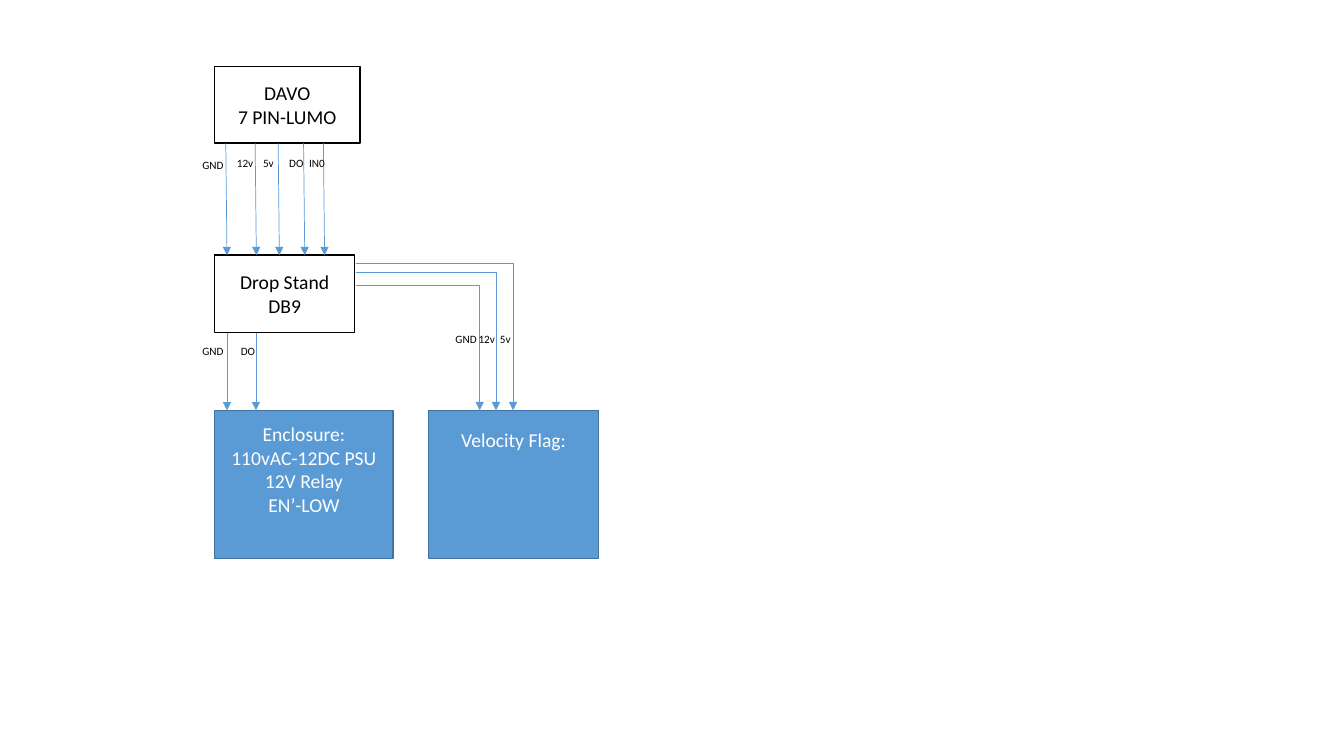
from lxml import etree
from pptx import Presentation
from pptx import util as u
from pptx.dml.color import RGBColor
from pptx.enum import shapes, text
from pptx.oxml.ns import qn

WHITE, BLACK, BLUE, DARK_BLUE = "FFFFFF", "000000", "5B9BD5", "43739E"


def colour(value):
    return RGBColor.from_string(value)


class WiringDiagram:
    font = "Calibri"
    box_size = u.Pt(14)
    label_size = u.Pt(8)
    wire_width = u.Pt(0.5)

    def __init__(self, slide):
        self.slide = slide

    def set_text(self, frame, lines, size, ink, alignment):
        frame.text = "\n".join(lines)
        for paragraph in frame.paragraphs:
            paragraph.alignment = alignment
            paragraph.font.name = self.font
            paragraph.font.size = size
            paragraph.font.color.rgb = colour(ink)

    def box(self, left, top, width, height, lines, fill, border, ink, top_inset=None):
        shape = self.slide.shapes.add_shape(
            shapes.MSO_SHAPE.RECTANGLE, u.Cm(left), u.Cm(top), u.Cm(width), u.Cm(height))
        shape.shadow.inherit = False
        shape.fill.solid()
        shape.fill.fore_color.rgb = colour(fill)
        shape.line.color.rgb = colour(border)
        shape.line.width = u.Pt(1)
        frame = shape.text_frame
        frame.word_wrap = True
        frame.vertical_anchor = text.MSO_ANCHOR.MIDDLE
        if top_inset is not None:
            frame.vertical_anchor = text.MSO_ANCHOR.TOP
            frame.margin_top = u.Cm(top_inset)
        self.set_text(frame, lines, self.box_size, ink, text.PP_ALIGN.CENTER)

    def wire(self, start_x, start_y, end_x, end_y, bent=False):
        kind = shapes.MSO_CONNECTOR.ELBOW if bent else shapes.MSO_CONNECTOR.STRAIGHT
        connector = self.slide.shapes.add_connector(
            kind, u.Cm(start_x), u.Cm(start_y), u.Cm(end_x), u.Cm(end_y))
        connector.line.color.rgb = colour(BLUE)
        connector.line.width = self.wire_width
        properties = connector._element.spPr
        if bent:
            properties.find(qn("a:prstGeom")).set("prst", "bentConnector2")
        etree.SubElement(properties.find(qn("a:ln")), qn("a:tailEnd"), type="triangle")
        etree.SubElement(properties, qn("a:effectLst"))

    def label(self, left, top, wording):
        shape = self.slide.shapes.add_textbox(u.Cm(left), u.Cm(top), u.Cm(1.12), u.Cm(0.6))
        shape.text_frame.word_wrap = True
        self.set_text(shape.text_frame, [wording], self.label_size, BLACK, text.PP_ALIGN.LEFT)


def main():
    presentation = Presentation()
    presentation.slide_width = u.Cm(33.87)
    presentation.slide_height = u.Cm(19.05)
    diagram = WiringDiagram(presentation.slides.add_slide(presentation.slide_layouts[6]))

    left = 5.41
    lemo_bottom, stand_top, stand_bottom, unit_top = 3.61, 6.43, 8.38, 10.34
    unit_height = 3.73

    diagram.box(left, 1.68, 3.66, lemo_bottom - 1.68, ["DAVO", "7 PIN-LUMO"],
                WHITE, BLACK, BLACK)
    diagram.box(left, stand_top, 3.53, stand_bottom - stand_top, ["Drop Stand", "DB9"],
                WHITE, BLACK, BLACK)
    diagram.box(left, unit_top, 4.5, unit_height,
                ["Enclosure:", "110vAC-12DC PSU", "12V Relay", "EN’-LOW"],
                BLUE, DARK_BLUE, WHITE, top_inset=0.3)
    diagram.box(10.8, unit_top, 4.29, unit_height, ["Velocity Flag:"],
                BLUE, DARK_BLUE, WHITE, top_inset=0.45)

    for x in (5.69, 6.43, 7.01, 7.65, 8.15):
        diagram.wire(x, lemo_bottom, x + 0.03, stand_top)
    for x in (5.72, 6.45):
        diagram.wire(x, stand_bottom, x, unit_top)
    for x, y in ((12.93, 6.63), (12.5, 6.86), (12.09, 7.19)):
        diagram.wire(8.97, y, x, unit_top, bent=True)

    label_rows = [
        (3.86, [(4.85, "GND")]),
        (3.81, [(5.72, "12v"), (6.38, "5v"), (7.04, "DO"), (7.54, "IN0")]),
        (8.56, [(4.85, "GND"), (5.82, "DO")]),
        (8.26, [(11.23, "GND"), (11.81, "12v"), (12.35, "5v")]),
    ]
    for top, labels in label_rows:
        for x, wording in labels:
            diagram.label(x, top, wording)

    presentation.save("out.pptx")


if __name__ == "__main__":
    main()
